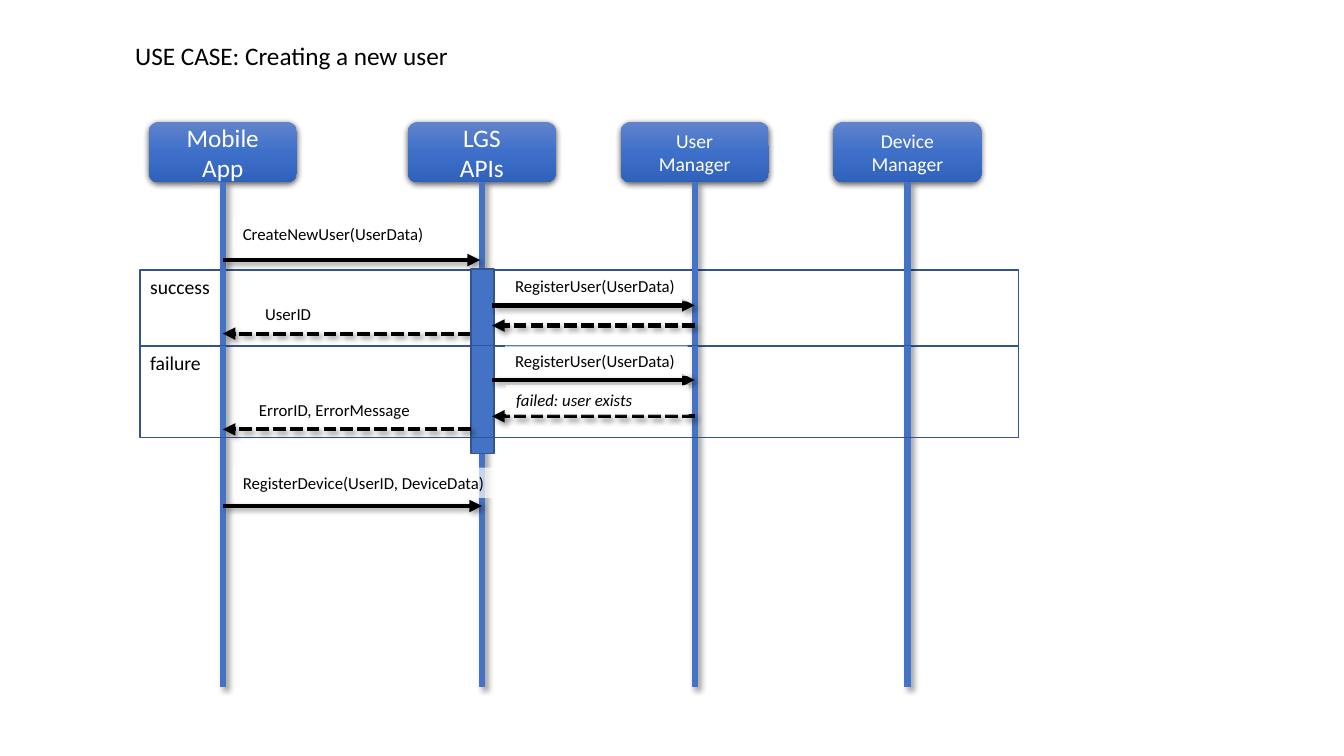
from dataclasses import dataclass

from lxml import etree
from pptx import Presentation
from pptx import util as u
from pptx.dml.color import RGBColor
from pptx.enum import dml, shapes, text
from pptx.oxml.ns import qn


@dataclass(frozen=True)
class Theme:
    font: str = "Calibri"
    ink: str = "000000"
    paper: str = "FFFFFF"
    blue: str = "4472C4"
    edge: str = "325491"
    gradient: tuple = ((0, "6183CB"), (50, "3E70CA"), (100, "3062BB"))
    title: int = 18
    head: int = 18
    small_head: int = 14
    frame: int = 14
    label: int = 12
    # opacity in percent, blur and distance in points, angle in degrees
    box_shadow: tuple = (63, 4.5, 1.5, 90)
    line_shadow: tuple = (40, 4, 3, 45)


T = Theme()

# Horizontal places of the lifelines and of the two sides of the activation bar
APP, API, USER, DEVICE = 2.21, 4.78, 6.89, 9.0
BAR_LEFT, BAR_RIGHT = 4.67, 4.88
HEAD_TOP, HEAD_W, HEAD_H, LIFELINE_END = 1.21, 1.47, 0.6, 6.82
LABEL_H = 0.3


def inches(*values):
    return [u.Inches(v) for v in values]


def rgb(color):
    return RGBColor.from_string(color)


def add_color(parent, color, opacity=100):
    clr = etree.SubElement(parent, qn("a:srgbClr"), val=color)
    if opacity < 100:
        etree.SubElement(clr, qn("a:alpha"), val=str(opacity * 1000))


def add_shadow(effects, opacity, blur, distance, angle):
    shadow = etree.SubElement(
        effects, qn("a:outerShdw"), blurRad=str(u.Pt(blur)),
        dist=str(u.Pt(distance)), dir=str(angle * 60000), rotWithShape="0")
    add_color(shadow, T.ink, opacity)


def write(shape, lines, size, color=T.ink, italic=False,
          align=text.PP_ALIGN.LEFT, **frame_format):
    tf = shape.text_frame
    tf.word_wrap = True
    for name, value in frame_format.items():
        setattr(tf, name, value)
    for i, line in enumerate(lines):
        p = tf.paragraphs[0] if i == 0 else tf.add_paragraph()
        p.alignment = align
        r = p.add_run()
        r.text = line
        font = {"name": T.font, "size": u.Pt(size), "italic": italic}
        for name, value in font.items():
            setattr(r.font, name, value)
        r.font.color.rgb = rgb(color)


def add_line(parent, start, end, color, width, dashed=False, arrow=False):
    c = parent.add_connector(shapes.MSO_CONNECTOR.STRAIGHT,
                             *inches(*start, *end))
    c.line.color.rgb = rgb(color)
    c.line.width = u.Pt(width)
    if dashed:
        c.line.dash_style = dml.MSO_LINE.SQUARE_DOT
    if arrow:
        etree.SubElement(c.line._get_or_add_ln(), qn("a:tailEnd"),
                         type="triangle")
    effects = etree.SubElement(c._element.spPr, qn("a:effectLst"))
    add_shadow(effects, *T.line_shadow)


def add_rect(s, box, fill=None):
    sp = s.shapes.add_shape(shapes.MSO_SHAPE.RECTANGLE, *inches(*box))
    sp.shadow.inherit = False
    if fill:
        sp.fill.solid()
        sp.fill.fore_color.rgb = rgb(fill)
    else:
        sp.fill.background()
    sp.line.color.rgb = rgb(T.edge)
    sp.line.width = u.Pt(1)
    return sp


def title(s, box):
    sp = s.shapes.title
    for name, value in zip(("left", "top", "width", "height"), inches(*box)):
        setattr(sp, name, value)
    write(sp, ["USE CASE: Creating a new user"], T.title,
          vertical_anchor=text.MSO_ANCHOR.TOP,
          auto_size=text.MSO_AUTO_SIZE.SHAPE_TO_FIT_TEXT)


def participant(s, box, lines, size):
    """Draw a header in the box and its lifeline below it."""
    x, y, w, h = box
    group = s.shapes.add_group_shape().shapes
    sp = group.add_shape(shapes.MSO_SHAPE.ROUNDED_RECTANGLE, *inches(*box))
    sp.fill.gradient()
    sp.fill.gradient_angle = 270
    stops = sp._element.spPr.find(".//" + qn("a:gsLst"))
    stops.clear()
    for position, color in T.gradient:
        stop = etree.SubElement(stops, qn("a:gs"), pos=str(position * 1000))
        add_color(stop, color)
    sp.line.fill.background()
    sp.shadow.inherit = False
    add_shadow(sp._element.spPr.find(qn("a:effectLst")), *T.box_shadow)
    write(sp, lines, size, T.paper, align=text.PP_ALIGN.CENTER,
          vertical_anchor=text.MSO_ANCHOR.MIDDLE)
    middle = x + w / 2
    add_line(group, (middle, y + h), (middle, LIFELINE_END), T.blue, 4.5)


def frame(s, box, name):
    write(add_rect(s, box), [name], T.frame,
          vertical_anchor=text.MSO_ANCHOR.TOP)


def message(s, start, end, y, label=None, dx=0, rise=0, width=0,
            italic=False):
    """Draw an arrow, dashed when it runs left, and a label above its left end."""
    add_line(s.shapes, (start, y), (end, y), T.ink, 3,
             dashed=end < start, arrow=True)
    if not label:
        return
    box = min(start, end) + dx, y - rise, width, LABEL_H
    sp = s.shapes.add_textbox(*inches(*box))
    sp.fill.solid()
    sp.fill.fore_color.rgb = rgb(T.paper)
    clr = sp._element.spPr.find(".//" + qn("a:srgbClr"))
    etree.SubElement(clr, qn("a:alpha"), val="70000")
    write(sp, [label], T.label, italic=italic,
          auto_size=text.MSO_AUTO_SIZE.SHAPE_TO_FIT_TEXT)


def sequence_slide(prs):
    s = prs.slides.add_slide(prs.slide_layouts[5])
    frame(s, (1.39, 2.68, 8.71, 0.76), "success")
    for x, lines, size in (
            (APP, ["Mobile", "App"], T.head),
            (API, ["LGS", "APIs"], T.head),
            (USER, ["User", "Manager"], T.small_head),
            (DEVICE, ["Device Manager"], T.small_head)):
        participant(s, (x - HEAD_W / 2, HEAD_TOP, HEAD_W, HEAD_H), lines, size)
    message(s, APP, 4.76, 2.58, "CreateNewUser(UserData)", 0.1, 0.41, 2.14)
    message(s, BAR_LEFT, APP, 3.31, "UserID", 0.32, 0.35, 0.88)
    add_rect(s, (BAR_LEFT, 2.67, 0.23, 1.83), T.blue)

    register = "RegisterUser(UserData)", 0.13, 0.34, 1.81
    message(s, BAR_RIGHT, USER, 3.03, *register)
    message(s, USER, BAR_RIGHT, 3.23)
    frame(s, (1.39, 3.43, 8.71, 0.91), "failure")
    message(s, BAR_RIGHT, USER, 3.77, *register)
    message(s, USER, BAR_RIGHT, 4.13, "failed: user exists", 0.14, 0.31, 1.81,
            italic=True)
    message(s, BAR_LEFT, APP, 4.26, "ErrorID, ErrorMessage", 0.26, 0.34, 1.71)
    message(s, APP, API, 5.02, "RegisterDevice(UserID, DeviceData)",
            0.1, 0.38, 2.74)
    title(s, (1.24, 0.35, 7.36, 0.4))


def main():
    prs = Presentation()
    prs.slide_width, prs.slide_height = inches(13.33, 7.5)
    sequence_slide(prs)
    prs.save("out.pptx")


if __name__ == "__main__":
    main()
